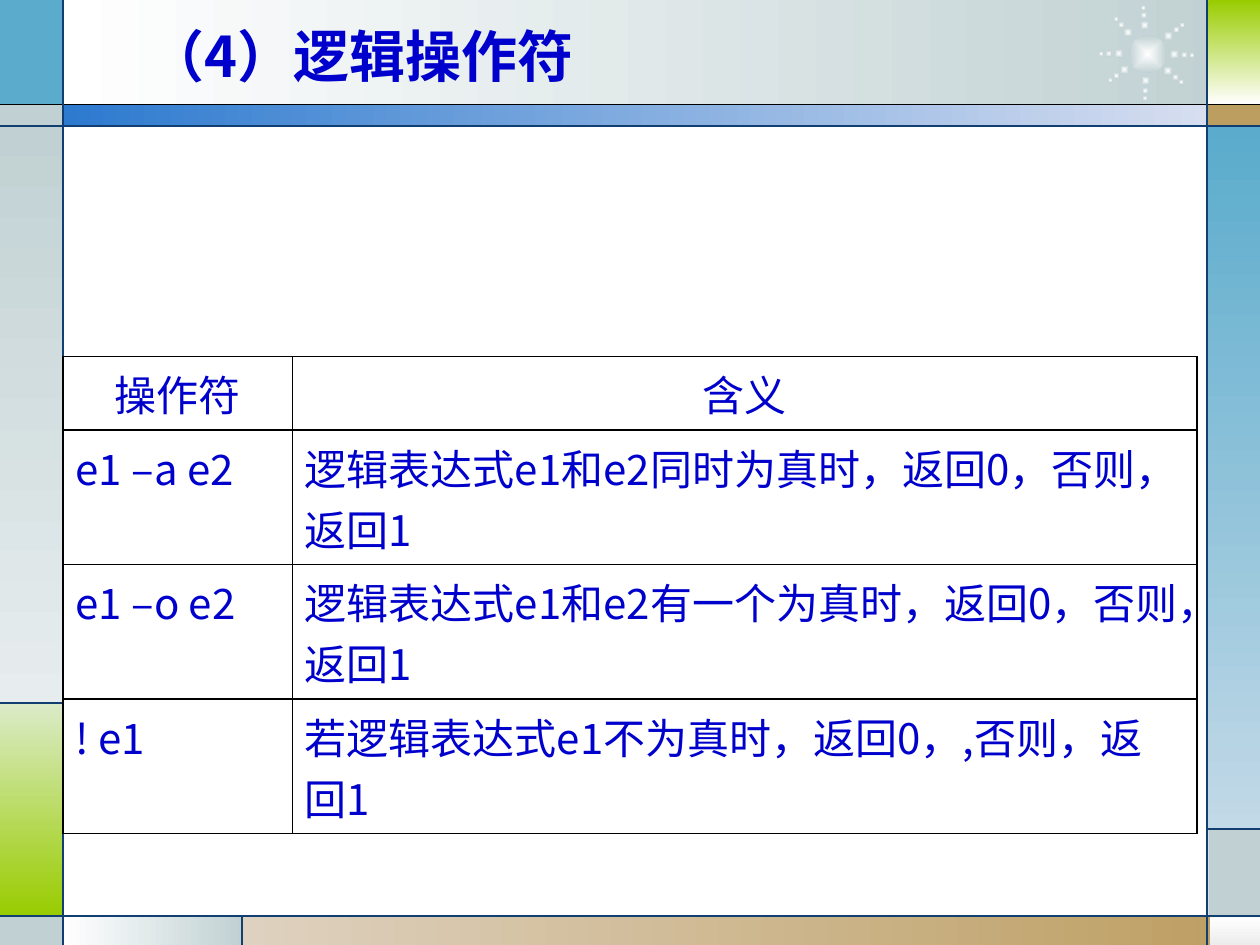
from math import cos, radians, sin

from lxml import etree
from pptx import Presentation
from pptx.dml.color import RGBColor
from pptx.enum.shapes import MSO_CONNECTOR, MSO_SHAPE
from pptx.enum.text import MSO_ANCHOR, PP_ALIGN
from pptx.oxml import parse_xml
from pptx.oxml.ns import nsdecls, qn
from pptx.util import Inches, Pt

FONT = "Noto Sans CJK SC"
TEXT = RGBColor(0x00, 0x00, 0xCC)
BLACK = RGBColor(0x00, 0x00, 0x00)
WHITE = RGBColor(0xFF, 0xFF, 0xFF)
NAVY = RGBColor(0x11, 0x3F, 0x71)
TEAL = RGBColor(0x5A, 0xAB, 0xCC)
PALE_TEAL = RGBColor(0xC2, 0xD9, 0xE7)
GREY = RGBColor(0xC1, 0xD1, 0xD3)
PALE_GREY = RGBColor(0xE7, 0xED, 0xEE)
SILVER = RGBColor(0xED, 0xED, 0xED)
GREEN = RGBColor(0x99, 0xCC, 0x00)
PALE_GREEN = RGBColor(0xDB, 0xEB, 0xC9)
TAN = RGBColor(0xBD, 0x9E, 0x61)
PALE_TAN = RGBColor(0xDE, 0xD1, 0xBF)
BLUE = RGBColor(0x2D, 0x7A, 0xCF)
PALE_BLUE = RGBColor(0xD7, 0xDE, 0xF0)

RIGHTWARD, DOWNWARD = 0, 270

# left, top, width, height, colours, gradient direction
PANELS = [
    (0.5, 0, 9.27, 0.84, (WHITE, GREY), RIGHTWARD),
    (0, 0, 0.5, 0.84, (TEAL,), None),
    (0, 0.83, 0.5, 0.17, (GREY,), None),
    (0, 1, 0.5, 4.58, (GREY, PALE_GREY), DOWNWARD),
    (0, 5.58, 0.5, 1.69, (PALE_GREEN, GREEN), DOWNWARD),
    (0, 7.27, 0.5, 0.23, (GREY,), None),
    (0.5, 7.27, 1.43, 0.23, (WHITE, GREY), RIGHTWARD),
    (1.92, 7.27, 8.08, 0.23, (PALE_TAN, TAN), RIGHTWARD),
    (9.6, 7.27, 0.4, 0.23, (WHITE, SILVER), DOWNWARD),
    (9.59, 6.58, 0.41, 0.7, (GREY,), None),
    (9.58, 1, 0.42, 5.58, (TEAL, PALE_TEAL), DOWNWARD),
    (9.58, 0.83, 0.42, 0.17, (TAN,), None),
    (9.59, 0, 0.41, 0.83, (GREEN, WHITE), DOWNWARD),
    (0.5, 0.83, 9.09, 0.17, (BLUE, PALE_BLUE), RIGHTWARD),
]
RULES = [
    (0, 0.83, 10, 0.83, BLACK),
    (0, 1, 10, 1, NAVY),
    (0, 7.27, 10, 7.27, NAVY),
    (0.5, 0, 0.5, 7.5, NAVY),
    (9.58, 0, 9.58, 7.5, NAVY),
    (0.5, 5.58, 0, 5.58, NAVY),
    (1.92, 7.27, 1.92, 7.5, NAVY),
    (9.58, 6.58, 10, 6.58, NAVY),
]
RAY_ANGLES = (40, 3, 322, 92, 266, 228, 179, 143)
RAY_DOTS = ((0.3, 0.05), (0.36, 0.04), (0.22, 0.07))  # distance, diameter
OPERATORS = [
    ("操作符", "含义"),
    ("e1 –a e2", "逻辑表达式e1和e2同时为真时，返回0，否则，返回1"),
    ("e1 –o e2", "逻辑表达式e1和e2有一个为真时，返回0，否则，返回1"),
    ("! e1", "若逻辑表达式e1不为真时，返回0，,否则，返回1"),
]


def write(tf, text, size=24, color=TEXT, bold=False, align=PP_ALIGN.LEFT):
    p = tf.paragraphs[0]
    p.alignment = align
    r = p.add_run()
    r.text = text
    r.font.size = Pt(size)
    r.font.bold = bold
    r.font.color.rgb = color
    r.font.name = FONT
    etree.SubElement(r.font._element, qn("a:ea"), typeface=FONT)


class SlideBuilder:
    def __init__(self, slide):
        self.slide = slide
        self.shapes = slide.shapes

    def shape(self, kind, left, top, width, height, colors, angle=None):
        s = self.shapes.add_shape(kind, Inches(left), Inches(top), Inches(width), Inches(height))
        s.shadow.inherit = False
        s.line.fill.background()
        if len(colors) == 1:
            s.fill.solid()
            s.fill.fore_color.rgb = colors[0]
        else:
            s.fill.gradient()
            s.fill.gradient_angle = angle
            for stop, color in zip(s.fill.gradient_stops, colors):
                stop.color.rgb = color
        return s

    def glow(self, x, y, diameter):
        """Draw a dot centred on x, y that fades from its centre outwards."""
        half = diameter / 2
        s = self.shape(MSO_SHAPE.OVAL, x - half, y - half, diameter, diameter, (WHITE, GREY), 0)
        lin = s._element.spPr.find(qn("a:gradFill")).find(qn("a:lin"))
        lin.getparent().replace(lin, parse_xml(
            f'<a:path {nsdecls("a")} path="shape">'
            '<a:fillToRect l="50000" t="50000" r="50000" b="50000"/></a:path>'))

    def starburst(self):
        self.glow(9.11, 0.43, 0.3)
        for angle in map(radians, RAY_ANGLES):
            for distance, diameter in RAY_DOTS:
                self.glow(9.1 + distance * cos(angle), 0.42 + distance * sin(angle), diameter)

    def rule(self, x1, y1, x2, y2, color):
        c = self.shapes.add_connector(
            MSO_CONNECTOR.STRAIGHT, Inches(x1), Inches(y1), Inches(x2), Inches(y2))
        c.line.color.rgb = color
        c.line.width = Pt(0.75)
        etree.SubElement(c._element.spPr, qn("a:effectLst"))

    def title(self, text):
        s = self.shapes.title
        s.left, s.top, s.width, s.height = Inches(1.08), Inches(0.13), Inches(7.33), Inches(0.62)
        s.text_frame.vertical_anchor = MSO_ANCHOR.MIDDLE
        write(s.text_frame, text, size=32, bold=True)
        self.shapes._spTree.append(s._element)  # above the title band

    def border(self, cell):
        tcPr = cell._tc.get_or_add_tcPr()
        for side in ("lnL", "lnR", "lnT", "lnB"):
            tcPr.append(parse_xml(
                f'<a:{side} {nsdecls("a")} w="{Pt(1)}"><a:solidFill>'
                f'<a:srgbClr val="{BLACK}"/></a:solidFill></a:{side}>'))

    def table(self, rows, left, top, widths, heights):
        table = self.shapes.add_table(
            len(rows), len(widths), Inches(left), Inches(top),
            Inches(sum(widths)), Inches(sum(heights))).table
        table.first_row = table.horz_banding = False
        for column, width in zip(table.columns, widths):
            column.width = Inches(width)
        for i, (row, height) in enumerate(zip(rows, heights)):
            table.rows[i].height = Inches(height)
            for j, text in enumerate(row):
                cell = table.cell(i, j)
                self.border(cell)
                cell.fill.background()
                write(cell.text_frame, text, align=PP_ALIGN.LEFT if i else PP_ALIGN.CENTER)


def main():
    prs = Presentation()
    prs.slide_width, prs.slide_height = Inches(10), Inches(7.5)
    b = SlideBuilder(prs.slides.add_slide(prs.slide_layouts[5]))
    for panel in PANELS:
        b.shape(MSO_SHAPE.RECTANGLE, *panel)
    b.starburst()
    for rule in RULES:
        b.rule(*rule)
    b.title("（4）逻辑操作符")
    b.table(OPERATORS, 0.5, 2.83, (1.82, 7.18), (0.5, 0.9, 0.9, 0.9))
    prs.save("out.pptx")


if __name__ == "__main__":
    main()
